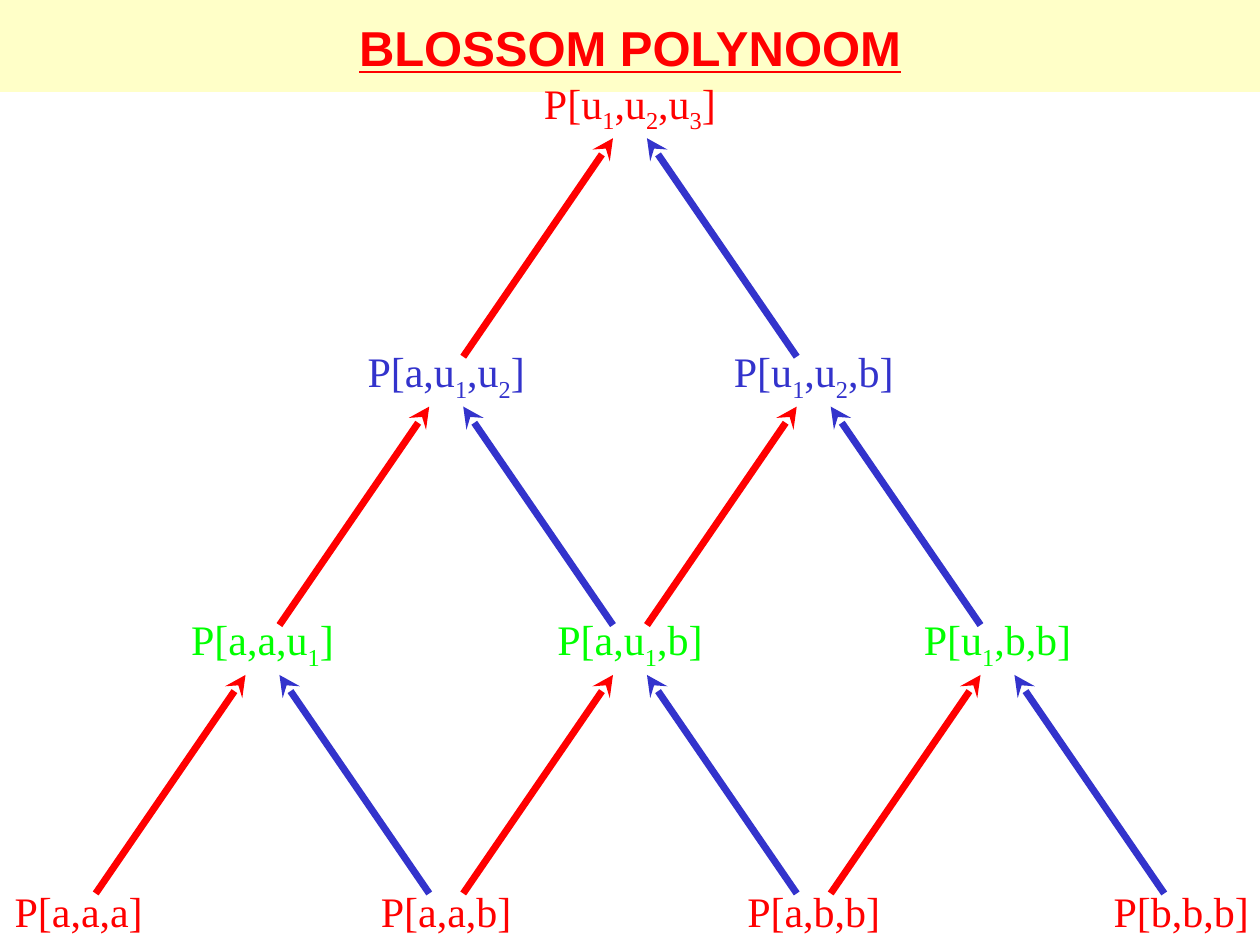
"""Build the slide with the pyramid of blossom polynomial values."""
import lxml.etree
import pptx
import pptx.dml.color
import pptx.enum.shapes
import pptx.enum.text
import pptx.oxml.ns
import pptx.util

COLOURS = {"red": "FF0000", "blue": "3333CC", "green": "00FF00", "band": "FFFFC8"}
LEVEL_COLOURS = ["red", "green", "blue", "red"]
DEGREE = 3
WIDTH, HEIGHT = 720, 540
COLUMN_GAP, ROW_GAP = 210, 153.36
BOTTOM_ROW_TOP, LABEL_HEIGHT = 502.56, 36
ARROW_SHIFT, ARROW_START, ARROW_END = 9.7, 8, 36.5


def colour(name):
    return pptx.dml.color.RGBColor.from_string(COLOURS[name])


def node_position(level, index):
    """Return the centre x and the top y of a node."""
    centre = WIDTH / 2 + (index - (DEGREE - level) / 2) * COLUMN_GAP
    return centre, BOTTOM_ROW_TOP - level * ROW_GAP


def add_band(page):
    """Add the title band behind everything else."""
    band = page.shapes.add_shape(
        pptx.enum.shapes.MSO_SHAPE.RECTANGLE, 0, 0,
        pptx.util.Pt(WIDTH), pptx.util.Pt(52.5))
    band.shadow.inherit = False
    band.fill.solid()
    band.fill.fore_color.rgb = colour("band")
    band.line.fill.background()
    page.shapes.title._element.addprevious(band._element)


def add_title(page, text):
    """Place and format the title placeholder."""
    title = page.shapes.title
    title.left, title.top = pptx.util.Pt(0), pptx.util.Pt(0)
    title.width, title.height = pptx.util.Pt(WIDTH), pptx.util.Pt(54)
    frame = title.text_frame
    frame.text = text
    frame.auto_size = pptx.enum.text.MSO_AUTO_SIZE.NONE
    frame.vertical_anchor = pptx.enum.text.MSO_ANCHOR.MIDDLE
    para = frame.paragraphs[0]
    para.alignment = pptx.enum.text.PP_ALIGN.CENTER
    font = para.runs[0].font
    font.name, font.size = "Arial", pptx.util.Pt(28)
    font.bold = font.underline = True
    font.color.rgb = colour("red")


def label_pieces(level, index):
    """Return the plain and subscript pieces of a node label in turn."""
    names = ["a"] * (DEGREE - level - index)
    names += [f"u_{number}_" for number in range(1, level + 1)]
    names += ["b"] * index
    return f"P[{','.join(names)}]".split("_")


def add_label(page, level, index):
    """Add the polynomial value of one node."""
    centre, top = node_position(level, index)
    width = 87.8 + 9.36 * level + 1.44 * index
    box = page.shapes.add_textbox(
        pptx.util.Pt(centre - width / 2), pptx.util.Pt(top),
        pptx.util.Pt(width), pptx.util.Pt(LABEL_HEIGHT))
    frame = box.text_frame
    frame.word_wrap = False
    frame.auto_size = pptx.enum.text.MSO_AUTO_SIZE.SHAPE_TO_FIT_TEXT
    frame.vertical_anchor = pptx.enum.text.MSO_ANCHOR.MIDDLE
    para = frame.paragraphs[0]
    para.alignment = pptx.enum.text.PP_ALIGN.CENTER
    for position, piece in enumerate(label_pieces(level, index)):
        span = para.add_run()
        span.text = piece
        span.font.name, span.font.size = "Times New Roman", pptx.util.Pt(24)
        span.font.color.rgb = colour(LEVEL_COLOURS[level])
        if position % 2:
            span.font._element.set("baseline", "-25000")


def add_arrow(page, child, parent, side, colour_name):
    """Add an arrow from a child node up to its parent; side is 1 for rightward."""
    child_x, child_top = node_position(*child)
    parent_x, parent_top = node_position(*parent)
    arrow = page.shapes.add_connector(
        pptx.enum.shapes.MSO_CONNECTOR.STRAIGHT,
        pptx.util.Pt(child_x + side * ARROW_SHIFT),
        pptx.util.Pt(child_top + ARROW_START),
        pptx.util.Pt(parent_x - side * ARROW_SHIFT),
        pptx.util.Pt(parent_top + ARROW_END))
    arrow.line.width = pptx.util.Pt(4)
    arrow.line.color.rgb = colour(colour_name)
    lxml.etree.SubElement(
        arrow.line._get_or_add_ln(), pptx.oxml.ns.qn("a:tailEnd"), type="stealth")
    lxml.etree.SubElement(
        arrow._element.spPr, pptx.oxml.ns.qn("a:effectLst"))


def main():
    deck = pptx.Presentation()
    deck.slide_width, deck.slide_height = pptx.util.Pt(WIDTH), pptx.util.Pt(HEIGHT)
    page = deck.slides.add_slide(deck.slide_layouts[5])
    add_band(page)
    add_title(page, "BLOSSOM POLYNOOM")
    for level in range(DEGREE + 1):
        for index in range(DEGREE - level + 1):
            add_label(page, level, index)
            if level:
                parent = (level, index)
                add_arrow(page, (level - 1, index), parent, 1, "red")
                add_arrow(page, (level - 1, index + 1), parent, -1, "blue")
    deck.save("out.pptx")


if __name__ == "__main__":
    main()
